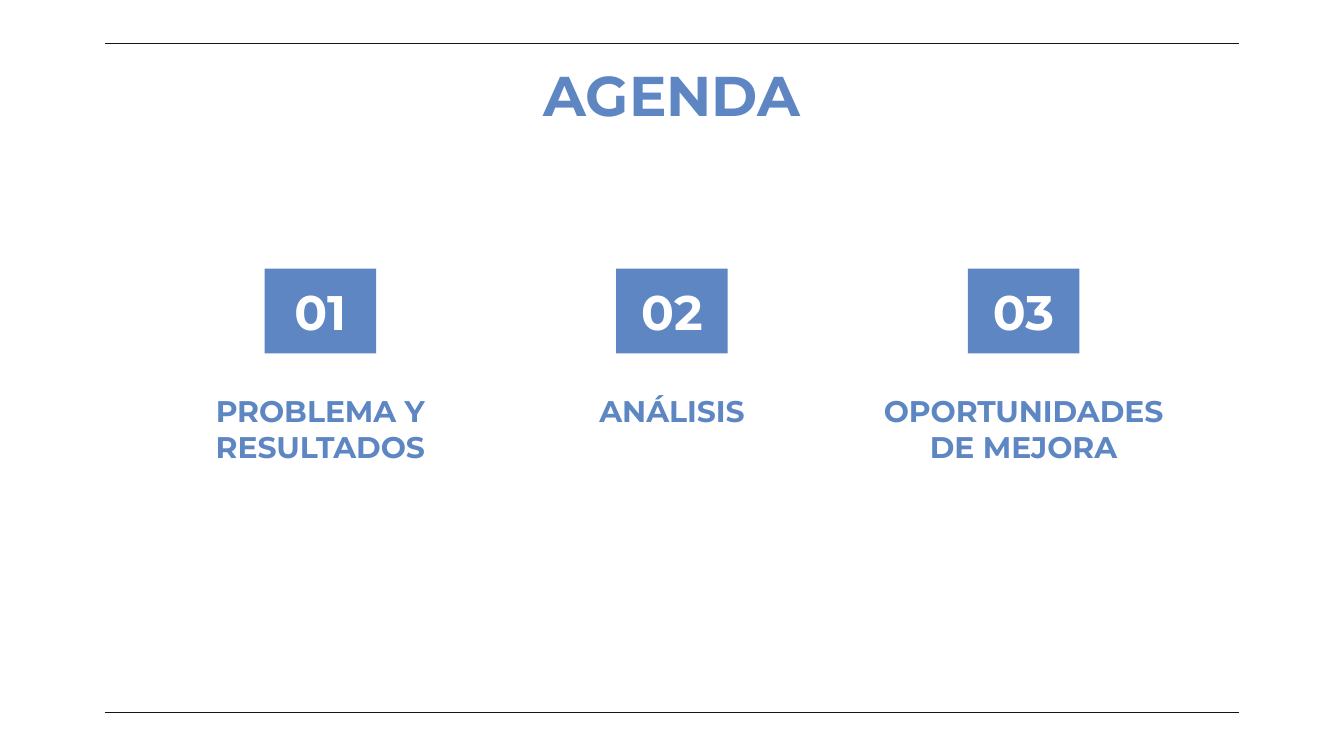
"""Build an agenda slide with three numbered topics between two rules."""
from dataclasses import dataclass

from lxml import etree
from pptx import Presentation
from pptx.dml.color import RGBColor
from pptx.enum.shapes import MSO_CONNECTOR, MSO_SHAPE
from pptx.enum.text import MSO_ANCHOR, MSO_AUTO_SIZE, PP_ALIGN
from pptx.oxml.ns import qn
from pptx.util import Inches, Pt

STRAIGHT = MSO_CONNECTOR.STRAIGHT
RECTANGLE = MSO_SHAPE.RECTANGLE
TOP, MIDDLE = MSO_ANCHOR.TOP, MSO_ANCHOR.MIDDLE
CENTER = PP_ALIGN.CENTER
FIXED_SIZE = MSO_AUTO_SIZE.NONE


@dataclass(frozen=True)
class Theme:
    font: str = "Montserrat"
    blue: RGBColor = RGBColor(0x5D, 0x86, 0xC3)
    white: RGBColor = RGBColor(0xFF, 0xFF, 0xFF)
    ink: RGBColor = RGBColor(0x14, 0x14, 0x14)
    title_size: int = 30
    number_size: int = 26
    topic_size: int = 16
    rule_width: float = 0.75


def write(frame, text, *, size, color, anchor=TOP, inset_top=0.1):
    frame.word_wrap = True
    frame.auto_size = FIXED_SIZE
    frame.vertical_anchor = anchor
    frame.margin_left = frame.margin_right = frame.margin_bottom = Inches(0.1)
    frame.margin_top = Inches(inset_top)
    paragraph = frame.paragraphs[0]
    paragraph.alignment = CENTER
    run = paragraph.add_run()
    run.text = text
    run.font.name = THEME.font
    run.font.size = Pt(size)
    run.font.bold = True
    run.font.color.rgb = color


THEME = Theme()
TOPICS = ["PROBLEMA Y RESULTADOS", "ANÁLISIS", "OPORTUNIDADES DE MEJORA"]

deck = Presentation()
deck.slide_width = Inches(10)
deck.slide_height = deck.slide_width * 9 // 16
slide = deck.slides.add_slide(deck.slide_layouts[5])
slide.background.fill.solid()
slide.background.fill.fore_color.rgb = THEME.white

margin = Inches(0.78)
content_width = deck.slide_width - 2 * margin
center = deck.slide_width // 2
column_pitch = int(content_width * 0.31)
number_width, number_height = Inches(0.83), Inches(0.63)
topic_width, topic_height = Inches(2.42), Inches(0.8)
number_top, topic_top = Inches(2), Inches(2.75)
bottom_rule = Inches(5.3)

for rule_y in (deck.slide_height - bottom_rule, bottom_rule):
    rule = slide.shapes.add_connector(
        STRAIGHT, margin, rule_y, margin + content_width, rule_y)
    rule.line.color.rgb = THEME.ink
    rule.line.width = Pt(THEME.rule_width)
    etree.SubElement(rule.element.spPr, qn("a:effectLst"))

heading = slide.shapes.title
heading.left, heading.top = margin, Inches(0.35)
heading.width, heading.height = content_width, Inches(0.63)
write(heading.text_frame, "AGENDA", size=THEME.title_size, color=THEME.blue)

for column, topic in enumerate(TOPICS):
    column_center = center + (column - 1) * column_pitch
    label = slide.shapes.add_textbox(
        column_center - topic_width // 2, topic_top, topic_width, topic_height)
    write(label.text_frame, topic, size=THEME.topic_size, color=THEME.blue,
          inset_top=0.17)
    number = slide.shapes.add_shape(
        RECTANGLE, column_center - number_width // 2, number_top,
        number_width, number_height)
    number.shadow.inherit = False
    number.fill.solid()
    number.fill.fore_color.rgb = THEME.blue
    number.line.fill.background()
    write(number.text_frame, f"{column + 1:02}", size=THEME.number_size,
          color=THEME.white, anchor=MIDDLE)

deck.save("out.pptx")
